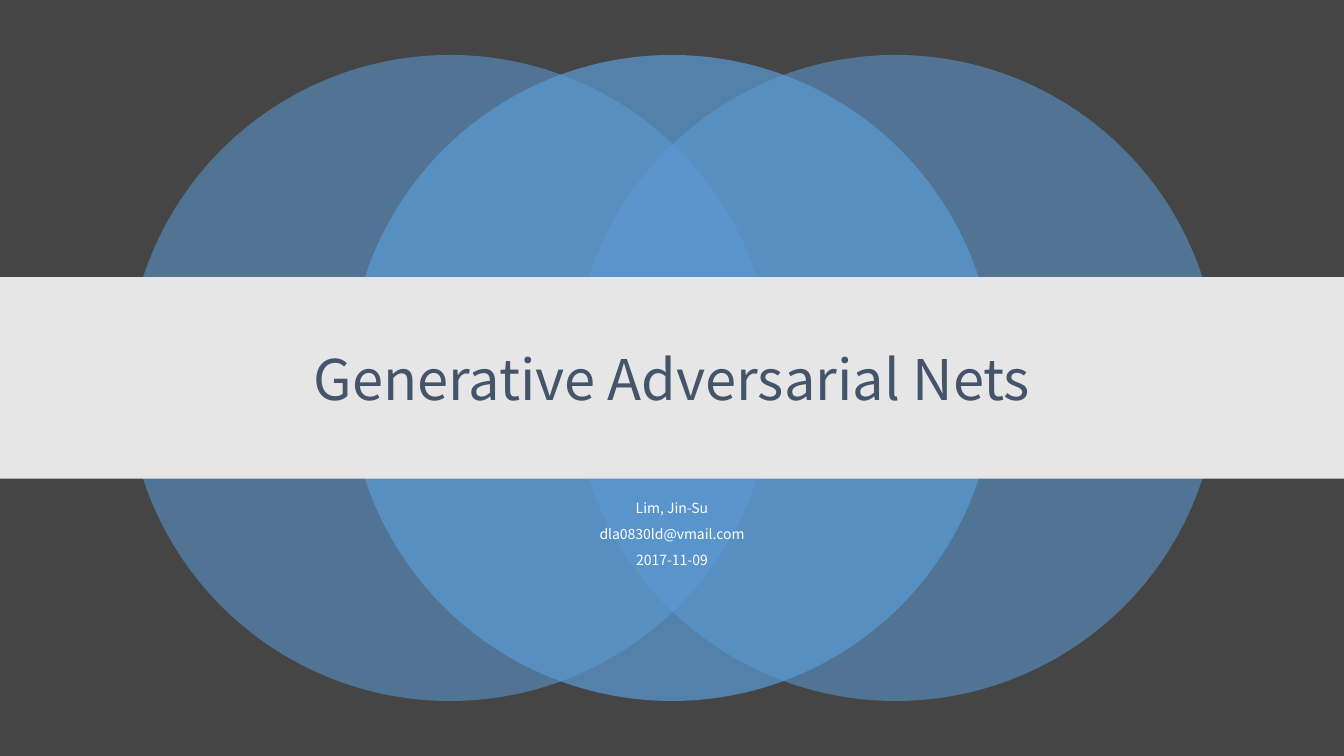
from lxml import etree
from pptx import Presentation
from pptx.dml.color import RGBColor
from pptx.enum.shapes import MSO_SHAPE
from pptx.enum.text import MSO_ANCHOR, MSO_AUTO_SIZE, PP_ALIGN
from pptx.oxml.ns import qn
from pptx.util import Cm, Pt

OVAL, RECTANGLE = MSO_SHAPE.OVAL, MSO_SHAPE.RECTANGLE
CENTER = PP_ALIGN.CENTER
TOP, MIDDLE = MSO_ANCHOR.TOP, MSO_ANCHOR.MIDDLE
NO_AUTOFIT = MSO_AUTO_SIZE.NONE

TITLE = "Generative Adversarial Nets"
BYLINE = ["Lim, Jin-Su", "dla0830ld@vmail.com", "2017-11-09"]
FONT = "Noto Sans CJK KR"
BACKGROUND, CIRCLE_BLUE, BAND_GRAY = "454545", "5B9BD5", "E7E6E6"
TITLE_NAVY, WHITE = "44546A", "FFFFFF"

SLIDE_W, SLIDE_H = 33.87, 19.05
DIAMETER = 16.28
CIRCLES = [(3.2, 55), (14.43, 55), (8.79, 70)]
BAND_H = 5.08
TEXT_W = 25.4
TEXT_LEFT = (SLIDE_W - TEXT_W) / 2


def rgb(value):
    return RGBColor.from_string(value)


def add_filled(slide, kind, left, width, height, color, opacity=100):
    top = (SLIDE_H - height) / 2
    shape = slide.shapes.add_shape(kind, Cm(left), Cm(top), Cm(width), Cm(height))
    shape.shadow.inherit = False
    shape.line.fill.background()
    shape.fill.solid()
    shape.fill.fore_color.rgb = rgb(color)
    if opacity < 100:
        fill_color = shape.element.spPr.find(qn("a:solidFill"))[0]
        etree.SubElement(fill_color, qn("a:alpha"), val=str(opacity * 1000))


def write_lines(shape, lines, size, color, anchor, space_before=0):
    frame = shape.text_frame
    frame.text = "\n".join(lines)
    frame.word_wrap = True
    frame.auto_size = NO_AUTOFIT
    frame.vertical_anchor = anchor
    for paragraph in frame.paragraphs:
        paragraph.alignment = CENTER
        paragraph.line_spacing = 0.9
        paragraph.space_before = Pt(space_before)
        paragraph.font.name = FONT
        paragraph.font.size = Pt(size)
        paragraph.font.color.rgb = rgb(color)


def main():
    deck = Presentation()
    deck.slide_width, deck.slide_height = Cm(SLIDE_W), Cm(SLIDE_H)
    slide = deck.slides.add_slide(deck.slide_layouts[5])
    slide.background.fill.solid()
    slide.background.fill.fore_color.rgb = rgb(BACKGROUND)

    for left, opacity in CIRCLES:
        add_filled(slide, OVAL, left, DIAMETER, DIAMETER, CIRCLE_BLUE, opacity)
    add_filled(slide, RECTANGLE, 0, SLIDE_W, BAND_H, BAND_GRAY)

    title = slide.shapes.title
    title.left, title.top = Cm(TEXT_LEFT), Cm(7.72)
    title.width, title.height = Cm(TEXT_W), Cm(3.84)
    write_lines(title, [TITLE], 40, TITLE_NAVY, MIDDLE)
    title.element.getparent().append(title.element)

    byline = slide.shapes.add_textbox(Cm(TEXT_LEFT), Cm(12.5), Cm(TEXT_W), Cm(2.11))
    write_lines(byline, BYLINE, 10, WHITE, TOP, space_before=8)

    deck.save("out.pptx")


if __name__ == "__main__":
    main()
